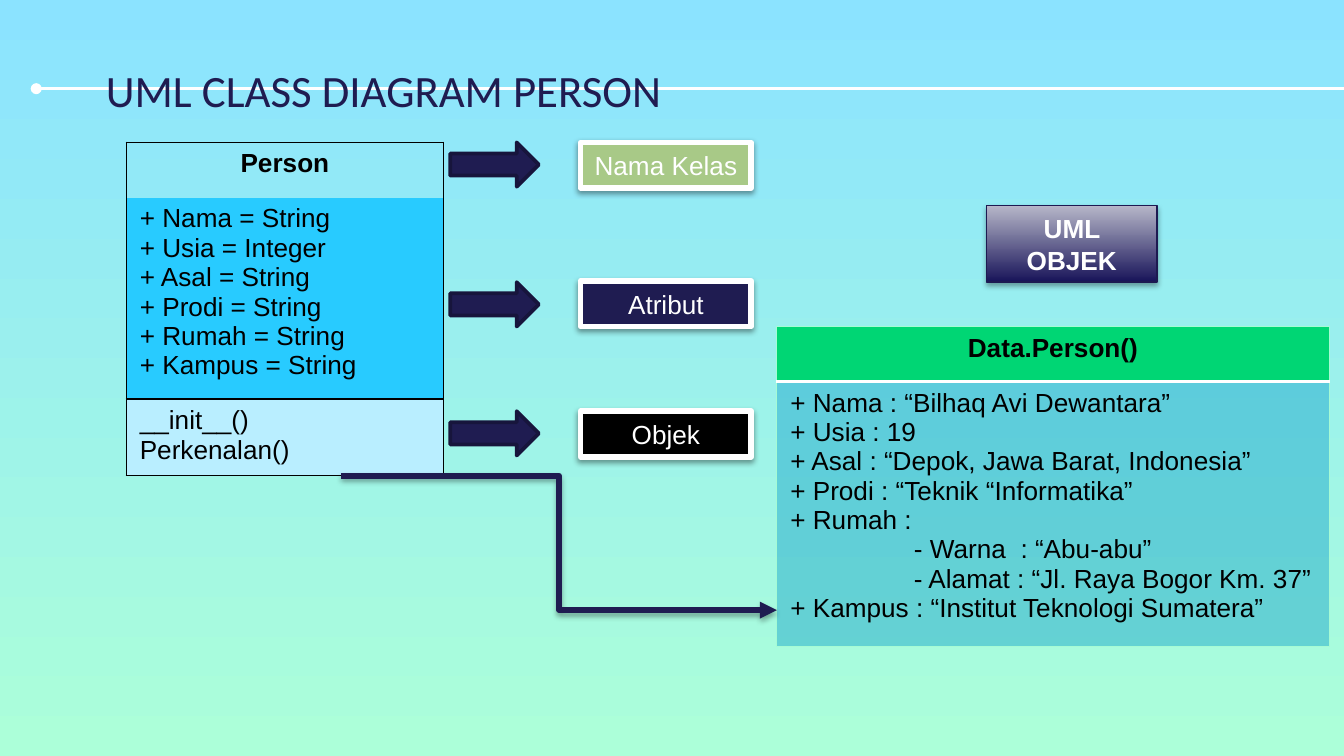
from lxml import etree
from pptx import Presentation
from pptx.dml.color import RGBColor
from pptx.enum.shapes import MSO_CONNECTOR, MSO_SHAPE
from pptx.enum.text import MSO_ANCHOR, PP_ALIGN
from pptx.oxml.ns import qn
from pptx.util import Inches, Pt

LEFT, CENTER = PP_ALIGN.LEFT, PP_ALIGN.CENTER
TOP, MIDDLE = MSO_ANCHOR.TOP, MSO_ANCHOR.MIDDLE
RECT, ARROW = MSO_SHAPE.RECTANGLE, MSO_SHAPE.RIGHT_ARROW
STRAIGHT, ELBOW = MSO_CONNECTOR.STRAIGHT, MSO_CONNECTOR.ELBOW
ROW_HEIGHT = 0.41  # rows grow to fit their text

COLORS = {
    "sky": "8BE3FF", "mint": "ACFFD9", "white": "FFFFFF", "black": "000000",
    "navy": "1F1C51", "arrow_edge": "17153C", "sage": "A8C987",
    "cyan": "28CBFF", "pale_blue": "B9EEFF", "green": "00D674",
    "blue": "0095C5", "mint_edge": "A6FBD4", "indigo": "181459",
    "gray": "B7B7C9", "object_edge": "1D1A51",
}

ATTRIBUTES = ["+ Nama = String", "+ Usia = Integer", "+ Asal = String",
              "+ Prodi = String", "+ Rumah = String", "+ Kampus = String"]
METHODS = ["__init__()", "Perkenalan()"]
VALUES = ["+ Nama : “Bilhaq Avi Dewantara”", "+ Usia : 19",
          "+ Asal : “Depok, Jawa Barat, Indonesia”",
          "+ Prodi : “Teknik “Informatika”", "+ Rumah :",
          "- Warna  : “Abu-abu”", "- Alamat : “Jl. Raya Bogor Km. 37”",
          "+ Kampus : “Institut Teknologi Sumatera”"]


def rgb(name):
    return RGBColor.from_string(COLORS[name])


def sub(parent, tag, **attrs):
    return etree.SubElement(parent, qn(tag), {k: str(v) for k, v in attrs.items()})


def write(tf, lines, size=14, font="Arial", color="black", bold=False, align=LEFT):
    """Write one paragraph per line; lines that start with a dash are indented."""
    for i, line in enumerate(lines):
        p = tf.paragraphs[0] if i == 0 else tf.add_paragraph()
        p.alignment = align
        if line.startswith("-"):
            p._p.get_or_add_pPr().set("marL", str(Inches(0.92)))
        r = p.add_run()
        r.text = line
        r.font.size, r.font.name, r.font.bold = Pt(size), font, bold
        r.font.color.rgb = rgb(color)


def set_gradient(fill, start, end, angle):
    fill.gradient()
    fill.gradient_angle = angle
    for stop, color in zip(fill.gradient_stops, (start, end)):
        stop.color.rgb = rgb(color)


def set_effects(sp, alpha=0, dist=1.8):
    """Give the shape a soft shadow below it, or no effect when alpha is 0."""
    effects = sub(sp._element.spPr, "a:effectLst")
    if alpha:
        shadow = sub(effects, "a:outerShdw", blurRad=Pt(3.1), dist=Pt(dist),
                     dir=5400000, algn="ctr", rotWithShape=0)
        color = sub(shadow, "a:srgbClr", val=COLORS["black"])
        sub(color, "a:alpha", val=alpha * 1000)


def add_box(s, shape, x, y, w, h, fill, line, width):
    sp = s.shapes.add_shape(shape, Inches(x), Inches(y), Inches(w), Inches(h))
    sp.shadow.inherit = False
    if isinstance(fill, tuple):
        set_gradient(sp.fill, *fill, 90)
    else:
        sp.fill.solid()
        sp.fill.fore_color.rgb = rgb(fill)
    sp.line.color.rgb = rgb(line)
    sp.line.width = Pt(width)
    return sp


def add_label(s, text, x, y, w, h, fill, line, width, alpha, dist, inset, bold=False):
    sp = add_box(s, RECT, x, y, w, h, fill, line, width)
    sp._element.spPr.remove(sp._element.spPr.find(qn("a:effectLst")))
    set_effects(sp, alpha, dist)
    tf = sp.text_frame
    tf.word_wrap = True
    tf.vertical_anchor = MIDDLE
    tf.margin_left = tf.margin_right = Inches(inset)
    write(tf, [text], color="white", bold=bold, align=CENTER)


def add_line(s, kind, start, end, color, width, end_tag, end_type, alpha=0):
    c = s.shapes.add_connector(kind, *map(Inches, start + end))
    c.line.color.rgb = rgb(color)
    c.line.width = Pt(width)
    sub(c.line._get_or_add_ln(), end_tag, type=end_type)
    set_effects(c, alpha)


def set_borders(cell, borders):
    """Draw the sides named in borders as side: (color, width); clear the rest."""
    tcPr = cell._tc.get_or_add_tcPr()
    for side in "LRTB":
        color, width = borders.get(side, (None, 0))
        ln = sub(tcPr, "a:ln" + side, w=Pt(width))
        if color:
            sub(sub(ln, "a:solidFill"), "a:srgbClr", val=COLORS[color])
        else:
            sub(ln, "a:noFill")


def add_class_table(s, x, y, w, h, rows):
    """Each row is (lines, fill, opacity in percent, borders)."""
    frame = s.shapes.add_table(len(rows), 1, Inches(x), Inches(y),
                               Inches(w), Inches(h))
    table = frame.table
    table.first_row = table.horz_banding = False
    for i, (lines, fill, opacity, borders) in enumerate(rows):
        table.rows[i].height = Inches(ROW_HEIGHT)
        cell = table.cell(i, 0)
        cell.vertical_anchor = TOP
        set_borders(cell, borders)
        if fill:
            cell.fill.solid()
            cell.fill.fore_color.rgb = rgb(fill)
            if opacity < 100:
                color = cell._tc.tcPr.find(qn("a:solidFill"))[0]
                sub(color, "a:alpha", val=opacity * 1000)
        else:
            cell.fill.background()
        header = i == 0
        write(cell.text_frame, lines, bold=header, align=CENTER if header else LEFT)
    frame.height = Inches(h)


def main():
    prs = Presentation()
    prs.slide_width, prs.slide_height = Inches(10), Inches(5.625)
    s = prs.slides.add_slide(prs.slide_layouts[6])
    set_gradient(s.background.fill, "sky", "mint", 270)

    # Title on its rule
    add_line(s, STRAIGHT, (0.27, 0.66), (10, 0.66), "white", 1.5, "a:headEnd", "oval")
    tf = s.shapes.add_textbox(Inches(0.69), Inches(0.37),
                              Inches(6.65), Inches(0.59)).text_frame
    tf.word_wrap = True
    tf.vertical_anchor = MIDDLE
    tf.margin_top = tf.margin_bottom = Inches(0.1)
    write(tf, ["UML CLASS DIAGRAM PERSON"], size=24, font="Calibri", color="navy")

    # Class table
    edge = ("black", 1)
    sides = {"L": edge, "R": edge}
    add_class_table(s, 0.94, 1.06, 2.36, 2.47, [
        (["Person"], None, 100, {**sides, "T": edge}),
        (ATTRIBUTES, "cyan", 100, {**sides, "B": edge}),
        (METHODS, "pale_blue", 100, {**sides, "T": edge, "B": edge}),
    ])

    # Arrows and labels for the parts of the class
    for text, arrow_y, y, fill in [("Nama Kelas", 1.06, 1.06, "sage"),
                                   ("Atribut", 2.1, 2.09, "navy"),
                                   ("Objek", 3.06, 3.06, "black")]:
        add_box(s, ARROW, 3.35, arrow_y, 0.66, 0.33, "navy", "arrow_edge", 2)
        add_label(s, text, 4.32, y, 1.27, 0.34, fill, "white", 3, 38, 1.6, 0.05)

    # Object table
    edge, rule = ("mint_edge", 0.75), ("white", 2)
    sides = {"L": edge, "R": edge}
    add_class_table(s, 5.78, 2.43, 4.11, 2.37, [
        (["Data.Person()"], "green", 100, {**sides, "T": edge, "B": rule}),
        (VALUES, "blue", 40, {**sides, "T": rule, "B": edge}),
    ])

    # Object heading and link from class to object
    add_label(s, "UML OBJEK", 7.34, 1.53, 1.27, 0.57, ("indigo", "gray"),
              "object_edge", 0.75, 35, 1.8, 0.15, bold=True)
    add_line(s, ELBOW, (2.54, 3.54), (5.78, 4.54), "navy", 3,
             "a:tailEnd", "triangle", alpha=35)

    prs.save("out.pptx")


if __name__ == "__main__":
    main()
